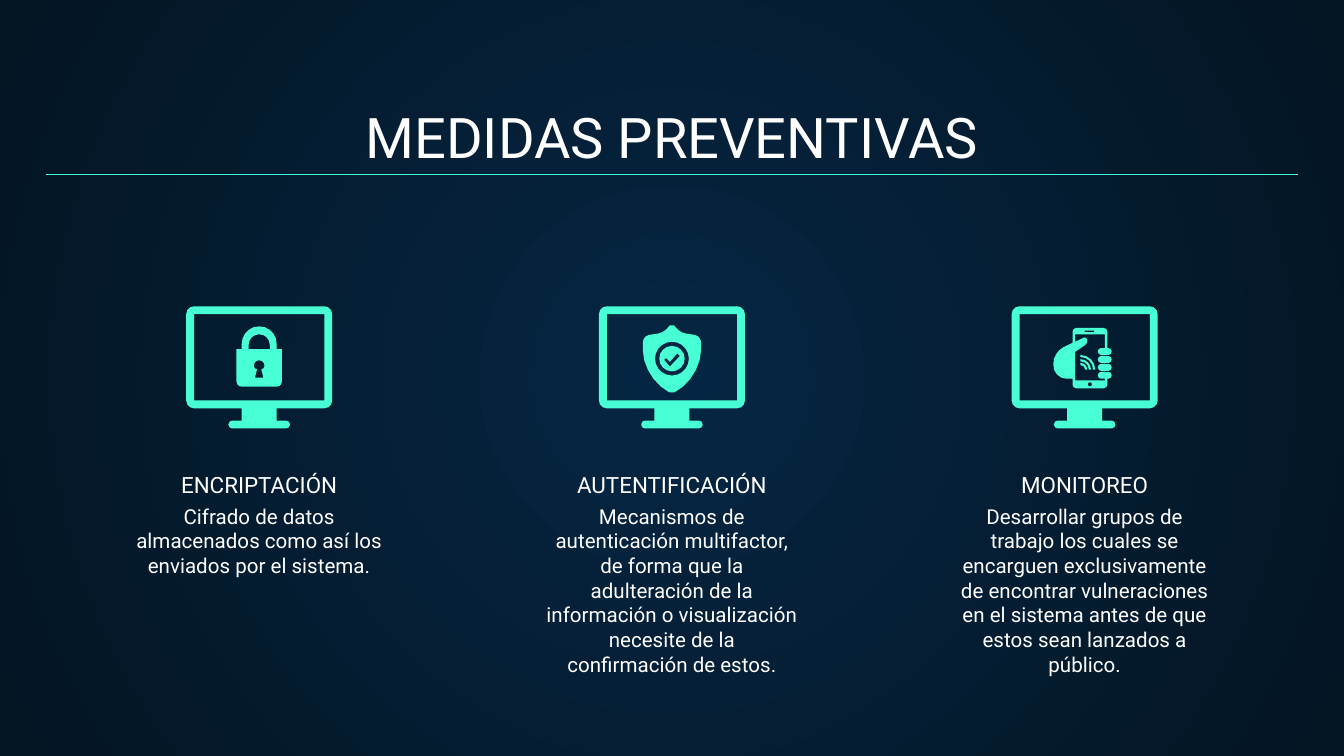
import dataclasses

import lxml.etree
import pptx
import pptx.dml.color
import pptx.enum.shapes
import pptx.enum.text
import pptx.oxml.ns
import pptx.util

Cm = pptx.util.Cm
qn = pptx.oxml.ns.qn


@dataclasses.dataclass(frozen=True)
class Theme:
    """Colours, font and type sizes."""
    font: str = "Roboto"
    text: str = "FFFFFF"
    accent: str = "48FFD5"
    glow: str = "052643"
    edge: str = "041523"
    title_size: int = 30
    heading_size: int = 12
    body_size: int = 11
    rule_width: float = 0.75


SLIDE_WIDTH, SLIDE_HEIGHT, MARGIN = 25.4, 14.29, 0.86
COLUMN_STEP = 7.8
ICON_TOP = 5.79


def rgb(value):
    """Turn a hex string into a colour."""
    return pptx.dml.color.RGBColor.from_string(value)


def write(frame, text, *, font, size, color, anchor):
    """Put centred text with the given format into a text frame."""
    frame.word_wrap = True
    frame.auto_size = pptx.enum.text.MSO_AUTO_SIZE.NONE
    frame.vertical_anchor = anchor
    frame.margin_left = frame.margin_right = Cm(0.25)
    frame.margin_top = frame.margin_bottom = Cm(0.25)
    paragraph = frame.paragraphs[0]
    paragraph.alignment = pptx.enum.text.PP_ALIGN.CENTER
    run = paragraph.add_run()
    run.text = text
    run.font.name = font
    run.font.size = pptx.util.Pt(size)
    run.font.color.rgb = rgb(color)


def corner(x, y, radius=0):
    """Describe one corner of an outline."""
    return x, y, radius


def box(left, top, right, bottom, radius=0):
    """List the corners of a rounded rectangle."""
    return [corner(x, y, radius) for x, y in
            ((left, top), (right, top), (right, bottom), (left, bottom))]


def disc(x, y, radius):
    """List the corners of a circle."""
    return box(x - radius, y - radius, x + radius, y + radius, radius)


def mirrored(half):
    """Complete a right half with its reflection in the vertical axis."""
    return half + [corner(-x, y, radius) for x, y, radius in reversed(half)]


def toward(start, end, distance):
    """Find the point at a distance from start on the way to end."""
    dx, dy = end[0] - start[0], end[1] - start[1]
    length = (dx * dx + dy * dy) ** 0.5
    return start[0] + dx / length * distance, start[1] + dy / length * distance


def rounded(corners):
    """Turn corners into points, with more of them on wider curves."""
    points = []
    for index, (x, y, radius) in enumerate(corners):
        if not radius:
            points.append((x, y))
            continue
        before, after = corners[index - 1], corners[(index + 1) % len(corners)]
        controls = [toward((x, y), before, radius), toward((x, y), before, radius * 0.45),
                    toward((x, y), after, radius * 0.45), toward((x, y), after, radius)]
        steps = min(5, 2 + int(radius * 10))
        for step in range(steps + 1):
            t = step / steps
            weights = ((1 - t) ** 3, 3 * t * (1 - t) ** 2, 3 * t * t * (1 - t), t ** 3)
            points.append(tuple(sum(weight * control[axis] for weight, control
                                    in zip(weights, controls)) for axis in (0, 1)))
    return points


def wave(radius, x=-0.08, y=1.2, thickness=0.04):
    """List the corners of a quarter ring."""
    inner = radius - thickness
    return [corner(x, y - radius), corner(x + radius, y - radius, radius),
            corner(x + radius, y), corner(x + inner, y),
            corner(x + inner, y - inner, inner), corner(x, y - inner)]


MONITOR = [
    mirrored([corner(1.38, 0, 0.15), corner(1.38, 1.93, 0.15), corner(0.33, 1.93),
              corner(0.33, 2.16), corner(0.58, 2.16, 0.07), corner(0.58, 2.31, 0.07)]),
    box(-1.23, 0.15, 1.23, 1.78),
]
PADLOCK = [
    mirrored([corner(0.33, 0.38, 0.33), corner(0.33, 0.81),
              corner(0.43, 0.81), corner(0.43, 1.52, 0.1)]),
    mirrored([corner(0.2, 0.53, 0.2), corner(0.2, 0.81)]),
    mirrored([corner(0.1, 1.02, 0.1), corner(0.1, 1.19, 0.06),
              corner(0.04, 1.19), corner(0.08, 1.35)]),
]
SHIELD = [
    mirrored([corner(0.04, 0.36), corner(0.16, 0.5, 0.1),
              corner(0.55, 0.56, 0.12), corner(0.55, 1.38, 0.55), corner(0.04, 1.63)]),
    disc(0, 0.99, 0.32),
]
CHECK_BADGE = [
    disc(0, 0.99, 0.24),
    [corner(-0.15, 1.01), corner(-0.11, 0.98), corner(-0.04, 1.05),
     corner(0.1, 0.89), corner(0.15, 0.94), corner(-0.04, 1.14)],
]
PHONE_IN_HAND = [
    [corner(-0.23, 0.41, 0.07), corner(0.43, 0.41, 0.07), corner(0.43, 0.79),
     corner(0.38, 0.79), corner(0.38, 1.37), corner(0.43, 1.37),
     corner(0.43, 1.55, 0.07), corner(-0.23, 1.55, 0.07), corner(-0.23, 1.37),
     corner(-0.59, 1.37, 0.25), corner(-0.59, 0.87, 0.2), corner(-0.23, 0.69)],
    [corner(-0.18, 0.53), corner(0.38, 0.53), corner(0.38, 1.4), corner(-0.18, 1.4),
     corner(-0.18, 0.86), corner(0.06, 0.7, 0.06), corner(0.04, 0.57, 0.06),
     corner(-0.18, 0.67)],
    box(0, 0.46, 0.18, 0.49),
    disc(0.1, 1.475, 0.04),
    *[box(0.25, 0.79 + 0.15 * row, 0.51, 0.92 + 0.15 * row, 0.06) for row in range(4)],
    *[wave(radius) for radius in (0.13, 0.2, 0.28)],
]
MEASURES = [
    ("ENCRIPTACIÓN",
     "Cifrado de datos almacenados como así los enviados por el sistema.",
     [PADLOCK]),
    ("AUTENTIFICACIÓN",
     "Mecanismos de autenticación multifactor, de forma que la adulteración de la "
     "información o visualización necesite de la confirmación de estos.",
     [CHECK_BADGE, SHIELD]),
    ("MONITOREO",
     "Desarrollar grupos de trabajo los cuales se encarguen exclusivamente de encontrar "
     "vulneraciones en el sistema antes de que estos sean lanzados a público.",
     [PHONE_IN_HAND]),
]


class SlideBuilder:
    """Hold the theme and the current slide, and add elements to it."""

    def __init__(self, theme, slide):
        self.theme, self.slide = theme, slide

    def background(self):
        """Fill the background with a glow from the centre."""
        fill = self.slide.background.fill
        fill.gradient()
        for stop, color in zip(fill.gradient_stops, (self.theme.glow, self.theme.edge)):
            stop.color.rgb = rgb(color)
        gradient = next(self.slide.element.iter(qn("a:gradFill")))
        gradient.remove(gradient.find(qn("a:lin")))
        circle = lxml.etree.SubElement(gradient, qn("a:path"), path="circle")
        lxml.etree.SubElement(circle, qn("a:fillToRect"),
                              {side: "50000" for side in "ltrb"})

    def text(self, frame, text, size, anchor):
        """Write text in the theme's font and colour."""
        write(frame, text, font=self.theme.font, size=size,
              color=self.theme.text, anchor=anchor)

    def title(self, text):
        """Place the slide title."""
        shape = self.slide.shapes.title
        shape.left, shape.top = Cm(MARGIN), Cm(1.78)
        shape.width, shape.height = Cm(SLIDE_WIDTH - 2 * MARGIN), Cm(1.68)
        self.text(shape.text_frame, text, self.theme.title_size,
                  pptx.enum.text.MSO_ANCHOR.BOTTOM)

    def text_box(self, text, center, top, width, height, size, anchor):
        """Add a text box centred on a column."""
        shape = self.slide.shapes.add_textbox(
            Cm(center - width / 2), Cm(top), Cm(width), Cm(height))
        self.text(shape.text_frame, text, size, anchor)

    def rule(self, y):
        """Draw a line from margin to margin."""
        line = self.slide.shapes.add_connector(
            pptx.enum.shapes.MSO_CONNECTOR.STRAIGHT,
            Cm(MARGIN), Cm(y), Cm(SLIDE_WIDTH - MARGIN), Cm(y))
        line.line.color.rgb = rgb(self.theme.accent)
        line.line.width = pptx.util.Pt(self.theme.rule_width)
        lxml.etree.SubElement(line.element.spPr, qn("a:effectLst"))

    def icon(self, contours, center, top):
        """Draw contours as one shape, inner ones as holes."""
        builder = None
        for contour in contours:
            start, *rest = [(Cm(center + x), Cm(top + y)) for x, y in rounded(contour)]
            if builder is None:
                builder = self.slide.shapes.build_freeform(*start)
            else:
                builder.move_to(*start)
            builder.add_line_segments(rest, close=True)
        shape = builder.convert_to_shape()
        shape.shadow.inherit = False
        shape.fill.solid()
        shape.fill.fore_color.rgb = rgb(self.theme.accent)
        shape.line.fill.background()


def main():
    """Build the slide and save it."""
    presentation = pptx.Presentation()
    presentation.slide_width, presentation.slide_height = Cm(SLIDE_WIDTH), Cm(SLIDE_HEIGHT)
    theme = Theme()
    builder = SlideBuilder(theme, presentation.slides.add_slide(presentation.slide_layouts[5]))
    builder.background()
    builder.title("MEDIDAS PREVENTIVAS")
    builder.rule(3.3)
    for column, (heading, body, symbols) in enumerate(MEASURES):
        center = SLIDE_WIDTH / 2 + (column - 1) * COLUMN_STEP
        builder.text_box(body, center, 9.27, 5.26, 3.79, theme.body_size,
                         pptx.enum.text.MSO_ANCHOR.TOP)
        builder.text_box(heading, center, 8.64, 5.77, 1.02, theme.heading_size,
                         pptx.enum.text.MSO_ANCHOR.BOTTOM)
        for contours in [MONITOR, *symbols]:
            builder.icon(contours, center, ICON_TOP)
    presentation.save("out.pptx")


if __name__ == "__main__":
    main()
